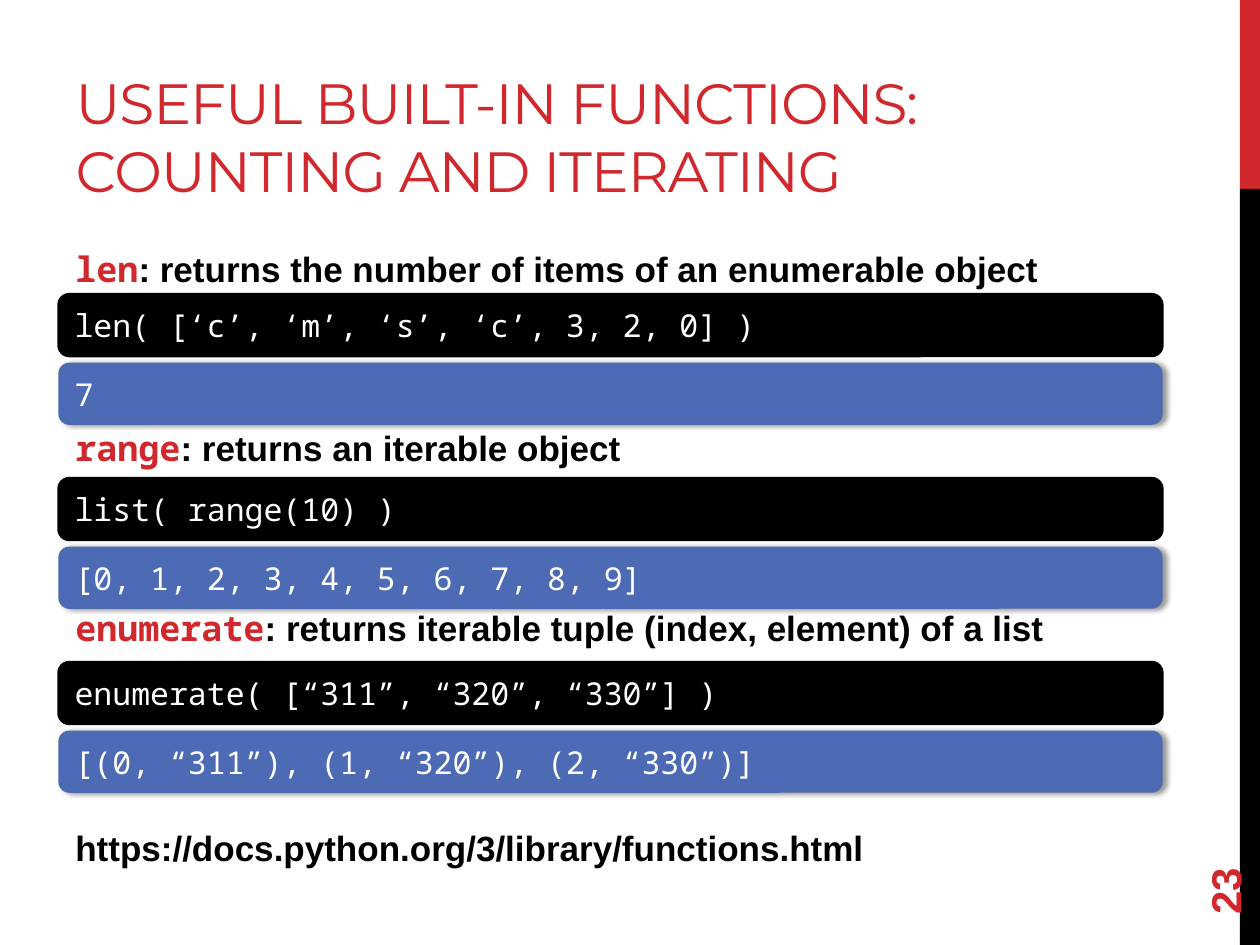
from lxml.etree import SubElement
from pptx import Presentation
from pptx.dml.color import RGBColor
from pptx.enum.shapes import MSO_SHAPE
from pptx.enum.text import MSO_ANCHOR, MSO_AUTO_SIZE, PP_ALIGN
from pptx.oxml.ns import qn
from pptx.util import Inches, Pt

RED = RGBColor(0xD1, 0x28, 0x2E)
BLACK = RGBColor(0, 0, 0)
WHITE = RGBColor(255, 255, 255)
BLUE = RGBColor(0x4D, 0x6B, 0xB5)
BLUE_EDGE = RGBColor(0x4E, 0x6A, 0xAE)
HEADING, BODY, CODE = "Montserrat", "Arial", "Noto Sans Mono"
COLUMNS, ROWS = 100, 75

EXAMPLES = [
    ("len", ": returns the number of items of an enumerable object",
     "len( [‘c’, ‘m’, ‘s’, ‘c’, 3, 2, 0] )", "7"),
    ("range", ": returns an iterable object",
     "list( range(10) )", "[0, 1, 2, 3, 4, 5, 6, 7, 8, 9]"),
    ("enumerate", ": returns iterable tuple (index, element) of a list",
     "enumerate( [“311”, “320”, “330”] )", "[(0, “311”), (1, “320”), (2, “330”)]"),
]
REFERENCE = "https://docs.python.org/3/library/functions.html"


class SlideBuilder:
    def __init__(self, deck):
        self.column = deck.slide_width / COLUMNS
        self.row = deck.slide_height / ROWS
        self.page = deck.slides.add_slide(deck.slide_layouts[5])

    def place(self, left, top, width, height):
        return (round(left * self.column), round(top * self.row),
                round(width * self.column), round(height * self.row))

    def style(self, font, name, size, color, bold=False):
        font.name, font.size, font.bold = name, Pt(size), bold
        font.color.rgb = color

    def title(self, text, *cells):
        title = self.page.shapes.title
        title.left, title.top, title.width, title.height = self.place(*cells)
        frame = title.text_frame
        frame.text = text
        frame.word_wrap = True
        frame.auto_size = MSO_AUTO_SIZE.NONE
        frame.vertical_anchor = MSO_ANCHOR.BOTTOM
        para = frame.paragraphs[0]
        para.alignment = PP_ALIGN.LEFT
        self.style(para.font, HEADING, 32.4, RED)
        para.runs[0].font._element.set("spc", "-60")

    def block(self, kind, fill, *cells):
        block = self.page.shapes.add_shape(kind, *self.place(*cells))
        block.shadow.inherit = False
        block.fill.solid()
        block.fill.fore_color.rgb = fill
        block.line.fill.background()
        return block

    def code(self, text, fill, edge, weight, *cells):
        block = self.block(MSO_SHAPE.ROUNDED_RECTANGLE, fill, *cells)
        block.line.color.rgb = edge
        block.line.width = Pt(weight)
        frame = block.text_frame
        frame.text = text
        frame.vertical_anchor = MSO_ANCHOR.MIDDLE
        para = frame.paragraphs[0]
        para.alignment = PP_ALIGN.LEFT
        self.style(para.font, CODE, 18, WHITE)
        return block

    def cast_shadow(self, block):
        effects = block._element.spPr.find(qn("a:effectLst"))
        shadow = SubElement(effects, qn("a:outerShdw"), blurRad=str(Pt(3.1)),
                            dist=str(Pt(1.8)), dir="0", rotWithShape="0")
        color = SubElement(shadow, qn("a:srgbClr"), val=str(BLACK))
        SubElement(color, qn("a:alpha"), val="40000")

    def text_box(self, *cells):
        box = self.page.shapes.add_textbox(*self.place(*cells))
        box.text_frame.word_wrap = True
        return box

    def descriptions(self, examples, reference, *cells):
        frame = self.text_box(*cells).text_frame
        for index, (name, meaning, *_) in enumerate(examples):
            para = frame.add_paragraph() if index else frame.paragraphs[0]
            if index:
                para.space_before = Pt(78.5)
            for text, font, color in ((name, CODE, RED), (meaning, BODY, BLACK)):
                span = para.add_run()
                span.text = text
                self.style(span.font, font, 20, color, True)
        para = frame.add_paragraph()
        para.text = reference
        para.space_before = Pt(102)
        self.style(para.font, BODY, 20, BLACK, True)

    def number(self, text, *cells):
        box = self.text_box(*cells)
        box.rotation = 270
        frame = box.text_frame
        frame.text = text
        frame.vertical_anchor = MSO_ANCHOR.MIDDLE
        self.style(frame.paragraphs[0].font, BODY, 24, RED, True)


def main():
    deck = Presentation()
    deck.slide_width, deck.slide_height = Inches(10), Inches(7.5)
    builder = SlideBuilder(deck)
    builder.block(MSO_SHAPE.RECTANGLE, RED, 98.4, 0, 1.6, 15)
    builder.block(MSO_SHAPE.RECTANGLE, BLACK, 98.4, 15, 1.6, 60)
    builder.title("USEFUL BUILT-IN FUNCTIONS: COUNTING AND ITERATING",
                  5, 1.7, 81.9, 15)
    builder.descriptions(EXAMPLES, REFERENCE, 5, 19.15, 83.3, 53.6)
    for index, (_, _, call, result) in enumerate(EXAMPLES):
        top = 23.4 + 14.6 * index
        builder.code(call, BLACK, BLACK, 2.25, 4.7, top, 87.5, 4.8)
        output = builder.code(result, BLUE, BLUE_EDGE, 1, 4.7, top + 5.45, 87.5, 4.8)
        builder.cast_shadow(output)
    builder.number("23", 90, 64.4, 14.4, 4)
    deck.save("out.pptx")


if __name__ == "__main__":
    main()
